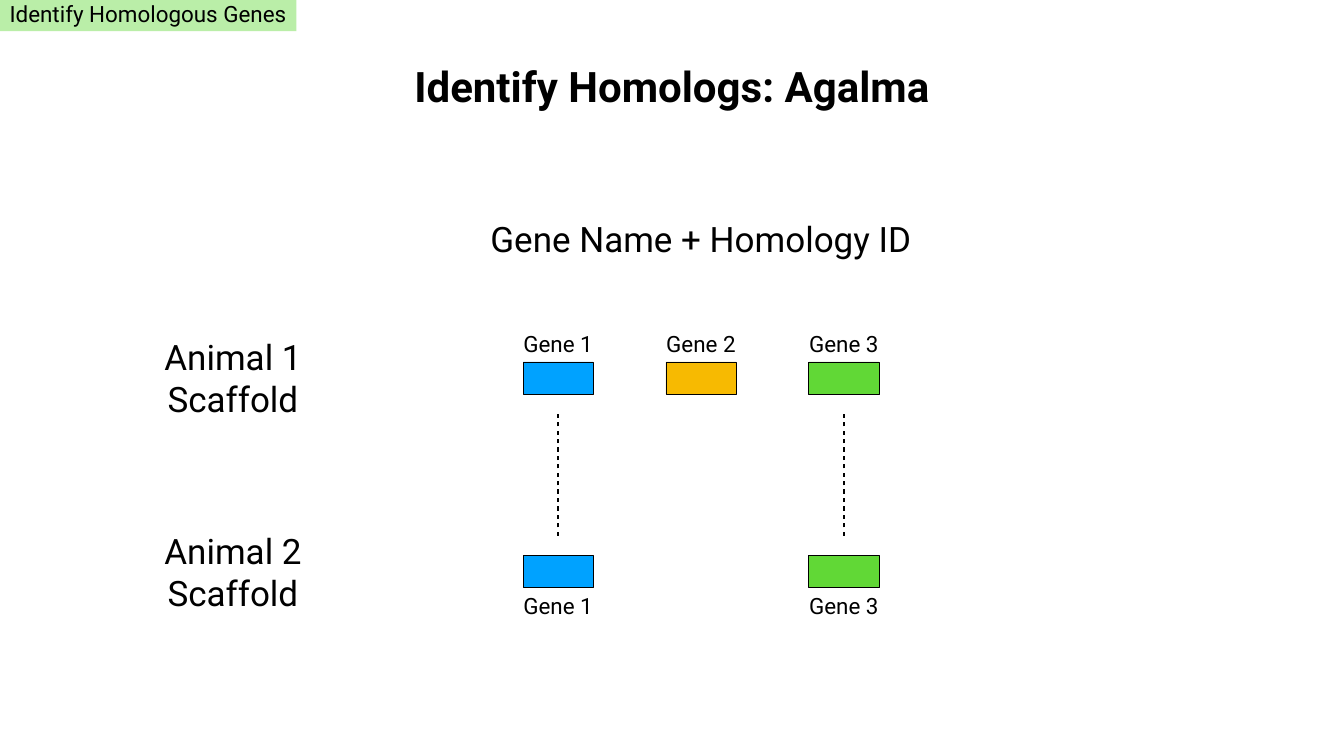
from typing import NamedTuple

from lxml.etree import SubElement
from pptx import Presentation
from pptx.dml.color import RGBColor
from pptx.enum.shapes import MSO_CONNECTOR, MSO_SHAPE
from pptx.enum.text import MSO_ANCHOR, MSO_AUTO_SIZE, PP_ALIGN
from pptx.oxml.ns import qn
from pptx.util import Inches, Pt

FONT = "Roboto"
BLACK, BLUE, YELLOW, GREEN = "000000", "00A2FF", "F7BA01", "61D836"

GENE_LEFT, GENE_PITCH = 10.38, 2.835
GENE_WIDTH, GENE_HEIGHT = 1.39, 0.64
LABEL_WIDTH, LABEL_HEIGHT = 1.6, 0.67
LINK_TOP, LINK_BOTTOM = 8.14, 10.63


class Gene(NamedTuple):
    name: str
    column: int
    color: str

    @property
    def center(self) -> float:
        return GENE_LEFT + self.column * GENE_PITCH + GENE_WIDTH / 2


class Scaffold(NamedTuple):
    name: str
    name_top: float
    gene_top: float
    label_top: float
    genes: list[Gene]


class Caption(NamedTuple):
    text: str
    left: float
    top: float
    width: float
    height: float
    size: int
    bold: bool = False


GENE_1 = Gene("Gene 1", 0, BLUE)
GENE_2 = Gene("Gene 2", 1, YELLOW)
GENE_3 = Gene("Gene 3", 2, GREEN)
SHARED_GENES = [GENE_1, GENE_3]
SCAFFOLDS = [
    Scaffold("Animal 1\vScaffold", 7.01, 7.18, 6.49, [GENE_1, GENE_2, GENE_3]),
    Scaffold("Animal 2\vScaffold", 10.85, 11.02, 11.67, SHARED_GENES),
]
TITLE = Caption("Identify Homologs: Agalma", 7.89, 1.12, 10.89, 1.16, 60, True)
SECTION = Caption("Identify Homologous Genes", 0, -0.07, 5.88, 0.69, 32)
HEADING = Caption("Gene Name + Homology ID", 9.55, 4.24, 8.72, 0.97, 50)


def rgb(color: str) -> RGBColor:
    return RGBColor.from_string(color)


def write(shape, caption: Caption) -> None:
    frame = shape.text_frame
    frame.text = caption.text
    frame_format = {
        "word_wrap": False,
        "auto_size": MSO_AUTO_SIZE.SHAPE_TO_FIT_TEXT,
        "vertical_anchor": MSO_ANCHOR.MIDDLE,
        **{f"margin_{side}": Inches(0.08) for side in ("left", "top", "right", "bottom")},
    }
    for attribute, value in frame_format.items():
        setattr(frame, attribute, value)
    paragraph = frame.paragraphs[0]
    paragraph.alignment = PP_ALIGN.CENTER
    font_format = {"name": FONT, "size": Pt(caption.size), "bold": caption.bold}
    for run in paragraph.runs:
        for attribute, value in font_format.items():
            setattr(run.font, attribute, value)
        run.font.color.rgb = rgb(BLACK)


def add_caption(slide, caption: Caption) -> None:
    place = map(Inches, (caption.left, caption.top, caption.width, caption.height))
    write(slide.shapes.add_textbox(*place), caption)


def add_rectangle(slide, left: float, top: float, width: float, height: float, color: str):
    place = map(Inches, (left, top, width, height))
    rectangle = slide.shapes.add_shape(MSO_SHAPE.RECTANGLE, *place)
    rectangle.shadow.inherit = False
    rectangle.fill.solid()
    rectangle.fill.fore_color.rgb = rgb(color)
    return rectangle


def add_section_tag(slide, caption: Caption) -> None:
    tag = add_rectangle(
        slide, caption.left, caption.top, caption.width, caption.height, GREEN
    )
    tag.line.fill.background()
    color = tag.fill._xPr.find(f"{qn('a:solidFill')}/{qn('a:srgbClr')}")
    SubElement(color, qn("a:alpha"), val="43000")
    write(tag, caption)


def add_gene(slide, gene: Gene, top: float, label_top: float) -> None:
    box = add_rectangle(
        slide, gene.center - GENE_WIDTH / 2, top, GENE_WIDTH, GENE_HEIGHT, gene.color
    )
    box.line.color.rgb = rgb(BLACK)
    box.line.width = Pt(1)
    label_left = gene.center - LABEL_WIDTH / 2
    add_caption(slide, Caption(gene.name, label_left, label_top, LABEL_WIDTH, LABEL_HEIGHT, 32))


def add_homology_link(slide, gene: Gene) -> None:
    """Draw the dashed line between two copies of a shared gene."""
    ends = map(Inches, (gene.center, LINK_BOTTOM, gene.center, LINK_TOP))
    link = slide.shapes.add_connector(MSO_CONNECTOR.STRAIGHT, *ends)
    link.line.color.rgb = rgb(BLACK)
    link.line.width = Pt(3)
    dashes = SubElement(link.line._get_or_add_ln(), qn("a:custDash"))
    SubElement(dashes, qn("a:ds"), d="200000", sp="200000")
    SubElement(link._element.spPr, qn("a:effectLst"))


def main() -> None:
    presentation = Presentation()
    presentation.slide_width = Inches(26.67)
    presentation.slide_height = Inches(15)
    slide = presentation.slides.add_slide(presentation.slide_layouts[6])

    add_caption(slide, TITLE)
    add_section_tag(slide, SECTION)
    for scaffold in SCAFFOLDS:
        for gene in scaffold.genes:
            add_gene(slide, gene, scaffold.gene_top, scaffold.label_top)
    for gene in SHARED_GENES:
        add_homology_link(slide, gene)
    for scaffold in SCAFFOLDS:
        add_caption(slide, Caption(scaffold.name, 1.82, scaffold.name_top, 5.61, 0.97, 50))
    add_caption(slide, HEADING)

    presentation.save("out.pptx")


if __name__ == "__main__":
    main()
